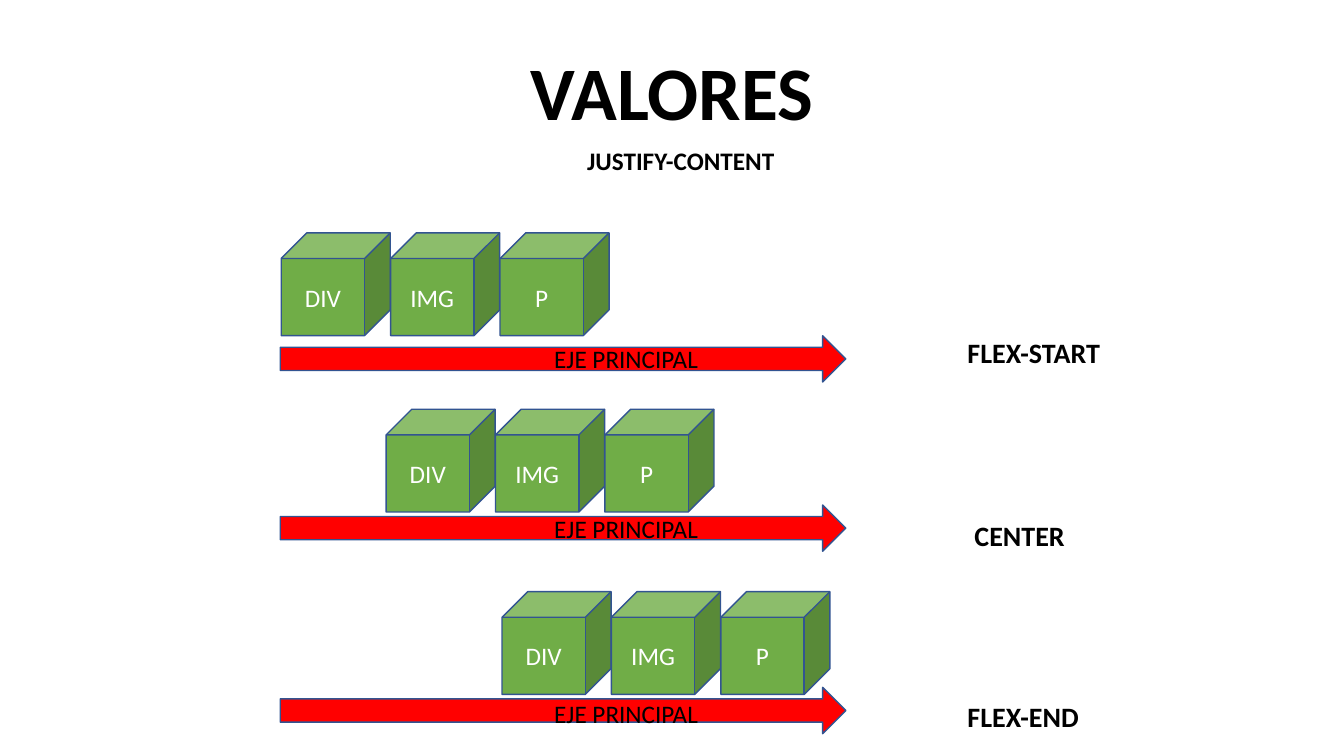
from pptx import Presentation
from pptx.dml.color import RGBColor
from pptx.enum.shapes import MSO_SHAPE as Shape
from pptx.enum.text import MSO_ANCHOR as Anchor, MSO_AUTO_SIZE as Auto, PP_ALIGN as Align
from pptx.util import Pt

BLACK = RGBColor(0x00, 0x00, 0x00)
WHITE = RGBColor(0xFF, 0xFF, 0xFF)
RED = RGBColor(0xFF, 0x00, 0x00)
GREEN = RGBColor(0x70, 0xAD, 0x47)
BLUE = RGBColor(0x32, 0x54, 0x91)

CUBE_W, CUBE_H, STEP = 77.9, 73.4, 78.15
AXIS_W, AXIS_H = 404, 33.1


def write(shape, text, size, color=BLACK, bold=False, align=Align.LEFT):
    frame = shape.text_frame
    frame.text = text
    frame.word_wrap = True
    para = frame.paragraphs[0]
    para.alignment = align
    font = para.runs[0].font
    font.name, font.size, font.bold = "Calibri", Pt(size), bold
    font.color.rgb = color


def add_label(slide, box, text, size, bold=False):
    label = slide.shapes.add_textbox(*map(Pt, box))
    write(label, text, size, bold=bold)
    label.text_frame.auto_size = Auto.SHAPE_TO_FIT_TEXT


def add_solid(slide, kind, box, fill):
    solid = slide.shapes.add_shape(kind, *map(Pt, box))
    solid.shadow.inherit = False
    solid.fill.solid()
    solid.fill.fore_color.rgb = fill
    solid.line.color.rgb = BLUE
    solid.line.width = Pt(1)
    return solid


def add_head(slide, left, top, width, height):
    title = slide.shapes.title
    title.left, title.top, title.width, title.height = map(Pt, (left, top, width, height))
    write(title, "VALORES", 54, bold=True, align=Align.CENTER)
    title.text_frame.vertical_anchor = Anchor.MIDDLE
    title.text_frame.paragraphs[0].line_spacing = 0.9
    add_label(slide, (left + 346.3, top + 71.3, 216, 29), "JUSTIFY-CONTENT", 18, True)


def add_row(slide, left, top, value, shift, axis_y, text_y, value_x, value_y):
    # Main axis
    add_solid(slide, Shape.RIGHT_ARROW, (left, top + axis_y, AXIS_W, AXIS_H), RED)
    # Items placed along the axis
    for i, name in enumerate(("DIV", "IMG", "P")):
        box = (left + shift + i * STEP, top, CUBE_W, CUBE_H)
        cube = add_solid(slide, Shape.CUBE, box, GREEN)
        write(cube, name, 18, WHITE, align=Align.CENTER)
        cube.text_frame.vertical_anchor = Anchor.MIDDLE
    # Axis name and value
    add_label(slide, (left + 188.6, top + text_y, 216, 29), "EJE PRINCIPAL", 18)
    add_label(slide, (left + value_x, top + value_y, 249, 31.5), value, 20, True)


deck = Presentation()
deck.slide_width, deck.slide_height = Pt(960), Pt(540)
slide = deck.slides.add_slide(deck.slide_layouts[5])

add_head(slide, 66, 28.8, 828, 79.2)

# Top, value, item shift, then offsets of axis, axis name and value
ROWS = (
    (166.3, "FLEX-START", 0.7, 73.5, 75.6, 483.8, 69.9),
    (292.3, "CENTER", 75.6, 68.4, 70.6, 488.8, 74.2),
    (422.6, "FLEX-END", 158.4, 68.4, 72.8, 483.8, 73.5),
)
for row in ROWS:
    add_row(slide, 200.2, *row)

deck.save("out.pptx")
